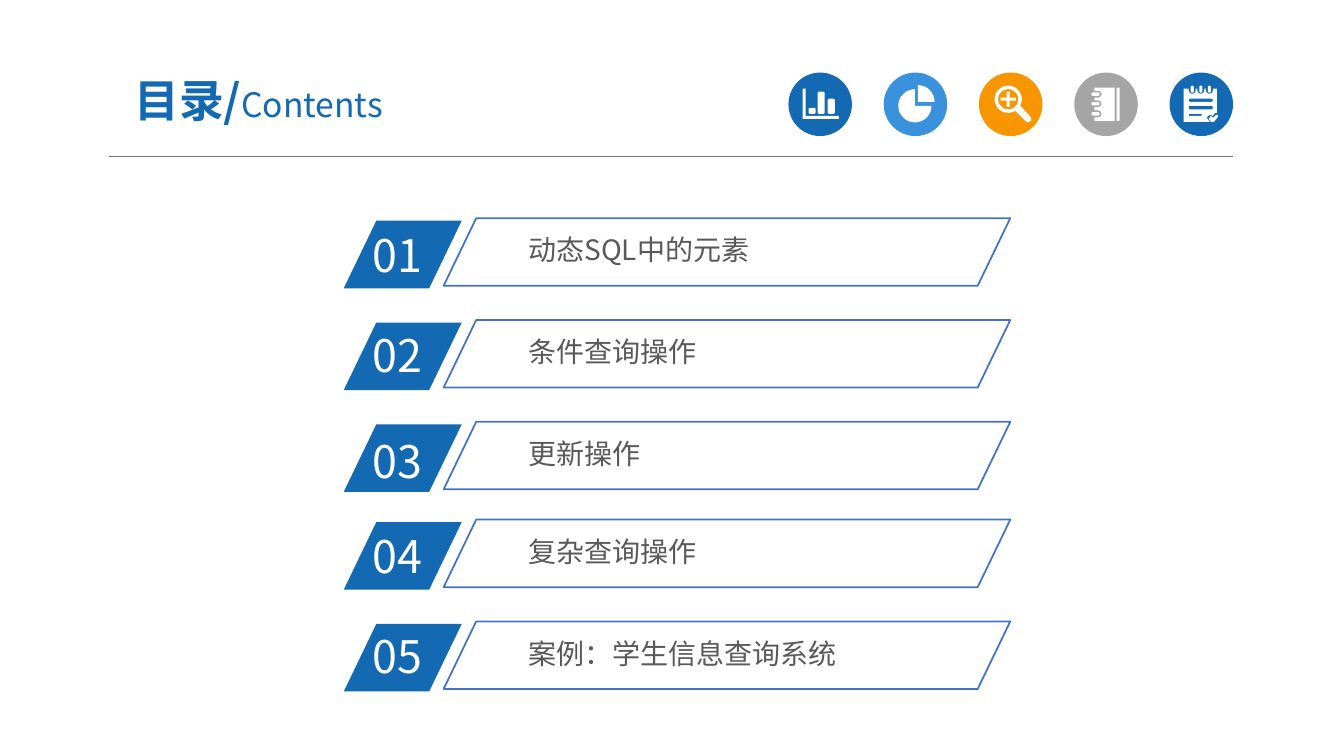
"""Build the contents slide: a heading, five round icons and five numbered chapters."""
import dataclasses
import math
import typing

import lxml.etree
import pptx
import pptx.dml.color
import pptx.enum.shapes
import pptx.enum.text
import pptx.oxml.ns
import pptx.util

Point = tuple[float, float]
Contour = list[Point]
Kind = pptx.enum.shapes.MSO_SHAPE


@dataclasses.dataclass(frozen=True)
class Theme:
    font: str = "Noto Sans CJK SC"
    blue: str = "1369B2"
    sky: str = "3992DB"
    orange: str = "F79600"
    silver: str = "A5A5A5"
    outline: str = "4472C4"
    rule: str = "767676"
    ink: str = "595959"
    white: str = "FFFFFF"
    large: int = 32
    medium: int = 24
    small: int = 20


@dataclasses.dataclass(frozen=True)
class Area:
    column: float
    row: float
    columns: float
    rows: float

    def lengths(self) -> list[int]:
        return [cells(n) for n in (self.column, self.row, self.columns, self.rows)]


@dataclasses.dataclass(frozen=True)
class Icon:
    color: str
    contours: list[Contour]


@dataclasses.dataclass(frozen=True)
class Chapter:
    number: str
    name: str
    row: float
    number_drop: float


THEME = Theme()
CELL = pptx.util.Inches(0.1)
ICON_COLUMN, ICON_ROW, ICON_STEP, ICON_SIZE = 78.2, 7.2, 9.45, 6.3
SLANT = 0.482

CHAPTERS = [
    Chapter("01", "动态SQL中的元素", 21.9, 0.2),
    Chapter("02", "条件查询操作", 32, 0),
    Chapter("03", "更新操作", 42.1, 0.4),
    Chapter("04", "复杂查询操作", 51.8, 0.2),
    Chapter("05", "案例：学生信息查询系统", 61.9, 0),
]


def cells(count: float) -> int:
    return round(count * CELL)


def color(code: str) -> pptx.dml.color.RGBColor:
    return pptx.dml.color.RGBColor.from_string(code)


def arc(x: float, y: float, radius: float, start: float, end: float) -> Contour:
    steps = max(4, round(abs(end - start) / 10))
    angles = [math.radians(start + (end - start) * i / steps) for i in range(steps + 1)]
    return [(x + radius * math.cos(a), y + radius * math.sin(a)) for a in angles]


def slab(left: float, top: float, width: float, height: float, radius: float = 1.5) -> Contour:
    right, bottom = left + width - radius, top + height - radius
    left, top = left + radius, top + radius
    corners = [(right, bottom), (left, bottom), (left, top), (right, top)]
    return [p for i, (x, y) in enumerate(corners) for p in arc(x, y, radius, 90 * i, 90 * i + 90)]


def bar_chart() -> list[Contour]:
    axes = [(14, 16), (17, 16), (17, 43), (50, 43), (50, 46), (14, 46)]
    return [axes, slab(20, 35, 7, 6), slab(29, 19, 7, 22), slab(39, 26, 7, 15)]


def pie_chart() -> list[Contour]:
    return [[(34, 29)] + arc(34, 29, 16.5, -90, 0), [(31, 33)] + arc(31, 33, 16.5, 0, 270)]


def magnifier() -> list[Contour]:
    x, y, arm, half = 29, 26.5, 7.5, 1.5
    body = arc(x, y, 13.5, 59, 388) + arc(48.5, 46, 3.3, -45, 135)
    corner = [(arm, -half), (arm, half), (half, half)]
    plus = []
    for _ in range(4):
        plus += [(x + a, y + b) for a, b in corner]
        corner = [(-b, a) for a, b in corner]
    return [body, arc(x, y, 10, 0, 360), plus]


def notebook() -> list[Contour]:
    holes = (41, 31, 21.5)
    cover = [(20, 15), (40, 15), (40, 48), (20, 48)]
    for y in holes:
        cover += [(20, y + 3.4), *arc(23.6, y, 3.4, 90, -90), (20, y - 3.4)]
    return [cover, slab(42, 15, 3, 33, 1)] + [slab(17, y - 1.7, 8, 3.4) for y in holes]


def notepad() -> list[Contour]:
    rings = (22.5, 31, 39.5)
    sheet = [(14, 16)]
    for x in rings:
        sheet += [(x - 3.5, 16), *arc(x, 17.5, 3.5, 180, 0), (x + 3.5, 16)]
    sheet += [(47, 16), (47, 40), (45, 40), (43, 43), (41, 42), (38, 43), (37, 45), (40, 49), (14, 49)]
    check = [(48, 44), (44, 49), (41, 49), (39, 46), (41, 43), (43, 45), (46, 42), (48, 42)]
    lines = [slab(19, 26, 24, 3), slab(19, 33, 24, 3.5), slab(19, 41, 13, 2, 1)]
    return [sheet, check] + lines + [slab(x - 1.5, 13, 3, 7) for x in rings]


def paint(shape: typing.Any, fill: str | None, line: str | None = None) -> None:
    shape.shadow.inherit = False
    if fill:
        shape.fill.solid()
        shape.fill.fore_color.rgb = color(fill)
    else:
        shape.fill.background()
    if line:
        shape.line.color.rgb = color(line)
        shape.line.width = pptx.util.Pt(1.25)
    else:
        shape.line.fill.background()


def style(span: typing.Any, size: int, code: str, bold: bool = False) -> None:
    span.font.size, span.font.bold = pptx.util.Pt(size), bold
    span.font.color.rgb = color(code)
    span.font.name = THEME.font
    east = lxml.etree.SubElement(span.font._element, pptx.oxml.ns.qn("a:ea"))
    east.set("typeface", THEME.font)


def set_margins(frame: typing.Any, side: float, end: float) -> None:
    frame.margin_left = frame.margin_right = cells(side)
    frame.margin_top = frame.margin_bottom = cells(end)


def add_label(page: typing.Any, area: Area, text: str, size: int, code: str, side: float, end: float) -> None:
    frame = page.shapes.add_textbox(*area.lengths()).text_frame
    frame.text = text
    frame.word_wrap = True
    frame.auto_size = pptx.enum.text.MSO_AUTO_SIZE.SHAPE_TO_FIT_TEXT
    set_margins(frame, side, end)
    style(frame.paragraphs[0].runs[0], size, code)


def add_slanted(page: typing.Any, area: Area, fill: str | None, line: str | None = None) -> None:
    shape = page.shapes.add_shape(Kind.PARALLELOGRAM, *area.lengths())
    shape.adjustments[0] = SLANT
    paint(shape, fill, line)


def add_icon(page: typing.Any, icon: Icon, column: float) -> None:
    area = Area(column, ICON_ROW, ICON_SIZE, ICON_SIZE)
    paint(page.shapes.add_shape(Kind.OVAL, *area.lengths()), icon.color)
    fine = [[(x * 10, y * 10) for x, y in contour] for contour in icon.contours]
    builder = page.shapes.build_freeform(*fine[0][0], scale=CELL / 100)
    for index, contour in enumerate(fine):
        if index:
            builder.move_to(*contour[0])
        builder.add_line_segments(contour[1:], close=True)
    paint(builder.convert_to_shape(cells(column), cells(ICON_ROW)), THEME.white)


def add_heading(page: typing.Any) -> None:
    title = page.shapes.title
    title.left, title.top, title.width, title.height = Area(9.2, 6.3, 32.9, 7.2).lengths()
    frame = title.text_frame
    frame.word_wrap = True
    frame.auto_size = pptx.enum.text.MSO_AUTO_SIZE.NONE
    frame.vertical_anchor = pptx.enum.text.MSO_ANCHOR.MIDDLE
    set_margins(frame, 1.3, 0.7)
    para = frame.paragraphs[0]
    para.alignment = pptx.enum.text.PP_ALIGN.CENTER
    for text, size, bold in (("目录/", THEME.large, True), ("Contents", THEME.medium, False)):
        span = para.add_run()
        span.text = text
        style(span, size, THEME.blue, bold)


def add_rule(page: typing.Any) -> None:
    ends = [cells(n) for n in (10.8, 15.5, 122.3, 15.5)]
    rule = page.shapes.add_connector(pptx.enum.shapes.MSO_CONNECTOR.STRAIGHT, *ends)
    rule.line.color.rgb = color(THEME.rule)
    rule.line.width = pptx.util.Pt(0.5)
    lxml.etree.SubElement(rule._element.spPr, pptx.oxml.ns.qn("a:effectLst"))


def add_chapter(page: typing.Any, chapter: Chapter) -> None:
    add_slanted(page, Area(34.1, chapter.row, 11.7, 6.7), THEME.blue)
    number_area = Area(36, chapter.row + chapter.number_drop, 11.2, 6.4)
    add_label(page, number_area, chapter.number, THEME.large, THEME.white, 1, 0.5)
    add_label(page, Area(51.7, chapter.row + 0.8, 41.2, 4.1), chapter.name, THEME.small, THEME.ink, 0.7, 0.4)
    add_slanted(page, Area(44, chapter.row - 0.25, 56.2, 6.7), None, THEME.outline)


def main() -> None:
    deck = pptx.Presentation()
    deck.slide_width, deck.slide_height = pptx.util.Inches(13.33), pptx.util.Inches(7.5)
    page = deck.slides.add_slide(deck.slide_layouts.get_by_name("Title Only"))
    add_rule(page)
    icons = [Icon(THEME.blue, bar_chart()), Icon(THEME.sky, pie_chart()), Icon(THEME.orange, magnifier()),
             Icon(THEME.silver, notebook()), Icon(THEME.blue, notepad())]
    for index, icon in enumerate(icons):
        add_icon(page, icon, ICON_COLUMN + index * ICON_STEP)
    add_heading(page)
    for chapter in CHAPTERS:
        add_chapter(page, chapter)
    deck.save("out.pptx")


if __name__ == "__main__":
    main()
